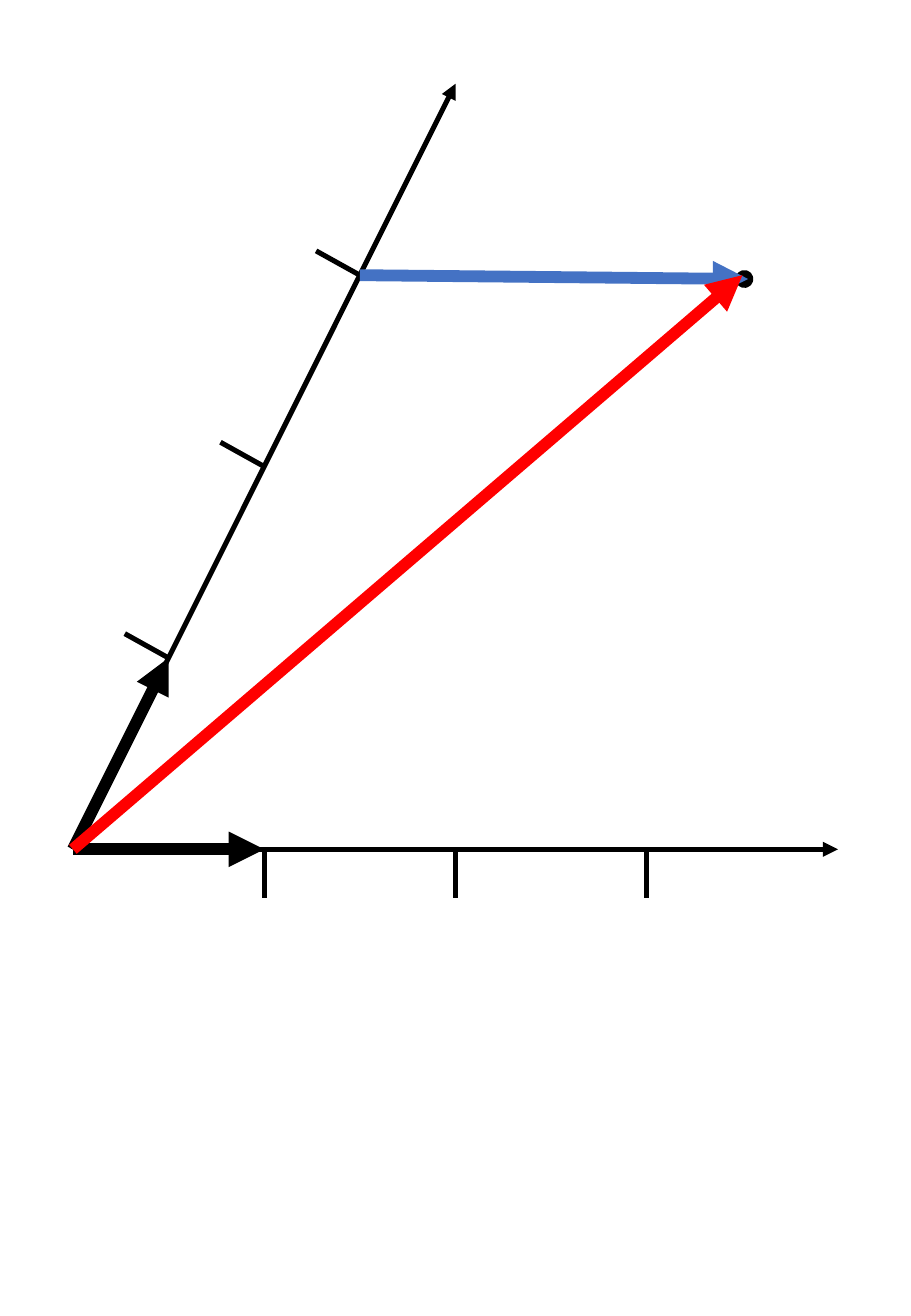
from lxml.etree import SubElement
from pptx import Presentation
from pptx.dml.color import RGBColor
from pptx.enum.shapes import MSO_CONNECTOR as Connector, MSO_SHAPE as Shape
from pptx.oxml.ns import qn
from pptx.util import Inches, Pt

COLORS = {"axis": "000000", "component": "4472C4", "resultant": "FF0000"}
WIDTH, HEIGHT = 7.5, 10.83
ORIGIN = (0.08 * WIDTH, 0.6454 * HEIGHT)
UNIT = 0.21 * WIDTH
THIN, THICK = 3, 7
DOT_SIZE = 0.05
FLAT_TICK = (0, 0.4)
SLANTED_TICK = (-0.36, -0.2)


def oblique(across, up):
    """Turn coordinates on the two oblique axes into slide inches."""
    return ORIGIN[0] + (across + up / 2) * UNIT, ORIGIN[1] - up * UNIT


def style_line(line, color, weight):
    line.color.rgb = RGBColor.from_string(COLORS[color])
    line.width = Pt(weight)


def add_line(slide, start, end, color="axis", weight=THIN, arrow=False):
    points = [Inches(value) for value in (*start, *end)]
    connector = slide.shapes.add_connector(Connector.STRAIGHT, *points)
    style_line(connector.line, color, weight)
    properties = connector._element.spPr
    if arrow:
        SubElement(properties.find(qn("a:ln")), qn("a:tailEnd"), type="triangle")
    SubElement(properties, qn("a:effectLst"))


def add_tick(slide, point, offset):
    add_line(slide, point, (point[0] + offset[0], point[1] + offset[1]))


def add_dot(slide, center):
    left, top = (Inches(value - DOT_SIZE / 2) for value in center)
    dot = slide.shapes.add_shape(
        Shape.OVAL, left, top, Inches(DOT_SIZE), Inches(DOT_SIZE))
    dot.shadow.inherit = False
    dot.fill.solid()
    dot.fill.fore_color.rgb = RGBColor.from_string(COLORS["axis"])
    style_line(dot.line, "axis", THICK)


def main():
    presentation = Presentation()
    presentation.slide_width = Inches(WIDTH)
    presentation.slide_height = Inches(HEIGHT)
    slide = presentation.slides.add_slide(presentation.slide_layouts[6])

    for length, weight in ((1, THICK), (4, THIN)):
        for end in (oblique(0, length), oblique(length, 0)):
            add_line(slide, ORIGIN, end, weight=weight, arrow=True)

    for step in (1, 2, 3):
        add_tick(slide, oblique(step, 0), FLAT_TICK)
        add_tick(slide, oblique(0, step), SLANTED_TICK)

    add_dot(slide, oblique(2.02, 2.98))
    add_line(slide, oblique(0, 3), oblique(2.04, 2.98), "component", THICK, arrow=True)
    add_line(slide, ORIGIN, oblique(2, 3), "resultant", THICK, arrow=True)

    presentation.save("out.pptx")


if __name__ == "__main__":
    main()
